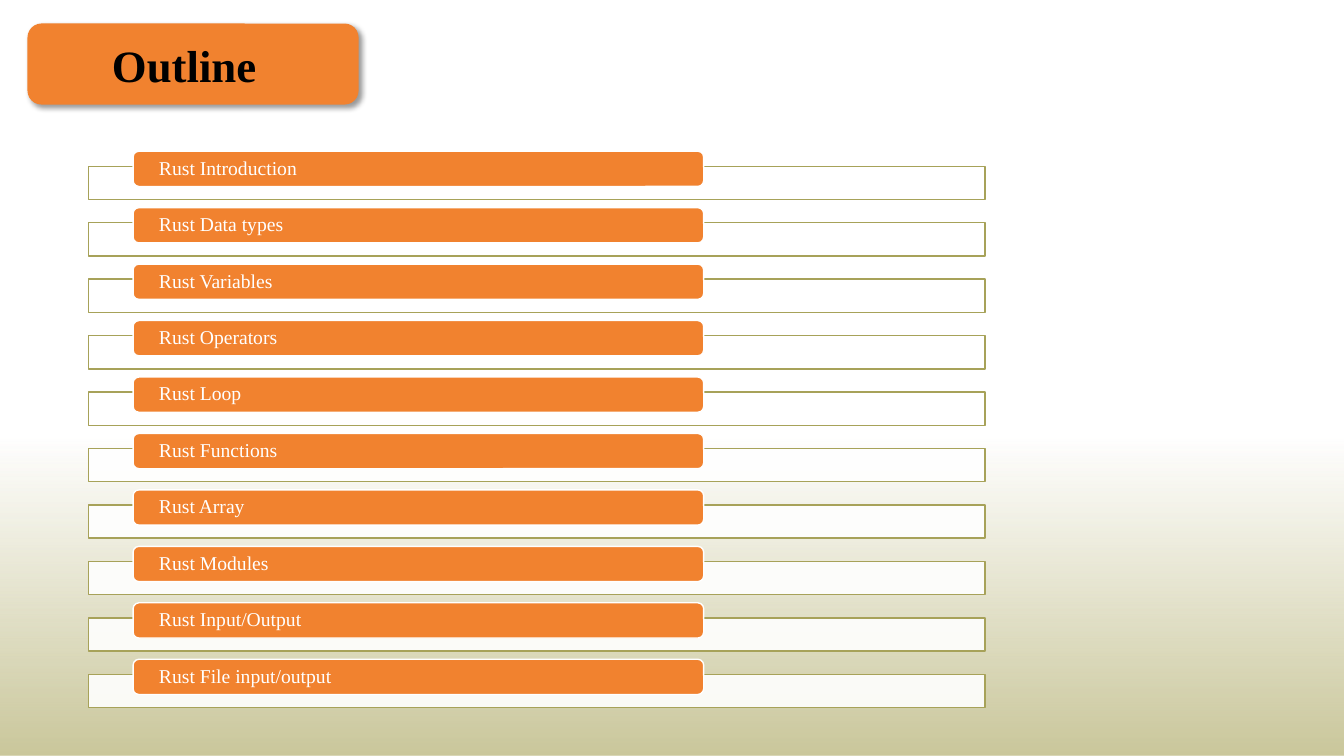
"""Build the outline slide for a Rust course."""
from lxml import etree
from pptx import Presentation
from pptx.dml.color import RGBColor
from pptx.enum import shapes, text
from pptx.oxml import ns
from pptx.util import Inches, Pt

TITLE = "Outline"
TOPICS = [
    "Rust Introduction",
    "Rust Data types",
    "Rust Variables",
    "Rust Operators",
    "Rust Loop",
    "Rust Functions",
    "Rust Array",
    "Rust Modules",
    "Rust Input/Output",
    "Rust File input/output",
]
FONT = "Times New Roman"
ORANGE, OLIVE, SAND = "F1822F", "A7A259", "CAC79B"
WHITE, BLACK = "FFFFFF", "000000"
FIRST_BAR, ROW_STEP, FRAME_DROP = 1.5, 0.56, 0.15
RECTANGLE = shapes.MSO_SHAPE.RECTANGLE
ROUNDED = shapes.MSO_SHAPE.ROUNDED_RECTANGLE


def color(value):
    return RGBColor.from_string(value)


def set_alpha(element, percent):
    etree.SubElement(element, ns.qn("a:alpha"), val=str(percent * 1000))


def add_panel(page, kind, left, top, width, height, fill=None, line=None):
    panel = page.shapes.add_shape(
        kind, Inches(left), Inches(top), Inches(width), Inches(height))
    panel.shadow.inherit = False
    if fill:
        panel.fill.solid()
        panel.fill.fore_color.rgb = color(fill)
    if line:
        panel.line.color.rgb = color(line)
        panel.line.width = Pt(1)
    else:
        panel.line.fill.background()
    return panel


def write(box, words, size, ink, bold=False, inset=(0.1, 0.05), spacing=1.0):
    frame = box.text_frame
    frame.word_wrap = True
    frame.vertical_anchor = text.MSO_ANCHOR.MIDDLE
    frame.margin_left = frame.margin_right = Inches(inset[0])
    frame.margin_top = frame.margin_bottom = Inches(inset[1])
    para = frame.paragraphs[0]
    para.alignment = text.PP_ALIGN.LEFT
    para.line_spacing = spacing
    span = para.add_run()
    span.text = words
    span.font.name = FONT
    span.font.size = Pt(size)
    span.font.bold = bold
    span.font.color.rgb = color(ink)


def add_fade(page):
    fade = add_panel(page, RECTANGLE, 0, 3.84, 13.33, 3.66)
    fade.fill.gradient()
    fade.fill.gradient_angle = 270
    for stop, position in zip(fade.fill.gradient_stops, (0.14, 1)):
        stop.color.rgb = color(SAND)
        stop.position = position
    set_alpha(fade.element.xpath(".//a:gs[1]/a:srgbClr")[0], 0)


def add_topic(page, topic, top):
    frame = add_panel(page, RECTANGLE, 0.88, top + FRAME_DROP, 8.89, 0.33,
                      fill=WHITE, line=OLIVE)
    set_alpha(frame.element.xpath("./p:spPr/a:solidFill/a:srgbClr")[0], 90)
    bar = add_panel(page, ROUNDED, 1.32, top, 5.66, 0.35,
                    fill=ORANGE, line=WHITE)
    write(bar, topic, 14, WHITE, inset=(0.24, 0), spacing=0.9)


def add_title(page):
    plate = add_panel(page, ROUNDED, 0.28, 0.24, 3.27, 0.79,
                      fill=ORANGE, line=ORANGE)
    effects = plate.element.xpath("./p:spPr/a:effectLst")[0]
    shadow = etree.SubElement(
        effects, ns.qn("a:outerShdw"), blurRad=str(Pt(4)), dist=str(Pt(3)),
        dir=str(45 * 60000), algn="tl", rotWithShape="0")
    set_alpha(etree.SubElement(shadow, ns.qn("a:srgbClr"), val=BLACK), 40)

    title = page.shapes.title
    title.left, title.top = Inches(1.01), Inches(0.32)
    title.width, title.height = Inches(1.81), Inches(0.64)
    write(title, TITLE, 32, BLACK, bold=True)
    title.text_frame.auto_size = text.MSO_AUTO_SIZE.SHAPE_TO_FIT_TEXT
    page.shapes.element.append(title.element)


def main():
    deck = Presentation()
    deck.slide_width, deck.slide_height = Inches(13.33), Inches(7.5)
    page = deck.slides.add_slide(deck.slide_layouts.get_by_name("Title Only"))
    add_fade(page)
    for row, topic in enumerate(TOPICS):
        add_topic(page, topic, FIRST_BAR + row * ROW_STEP)
    add_title(page)
    deck.save("out.pptx")


if __name__ == "__main__":
    main()
